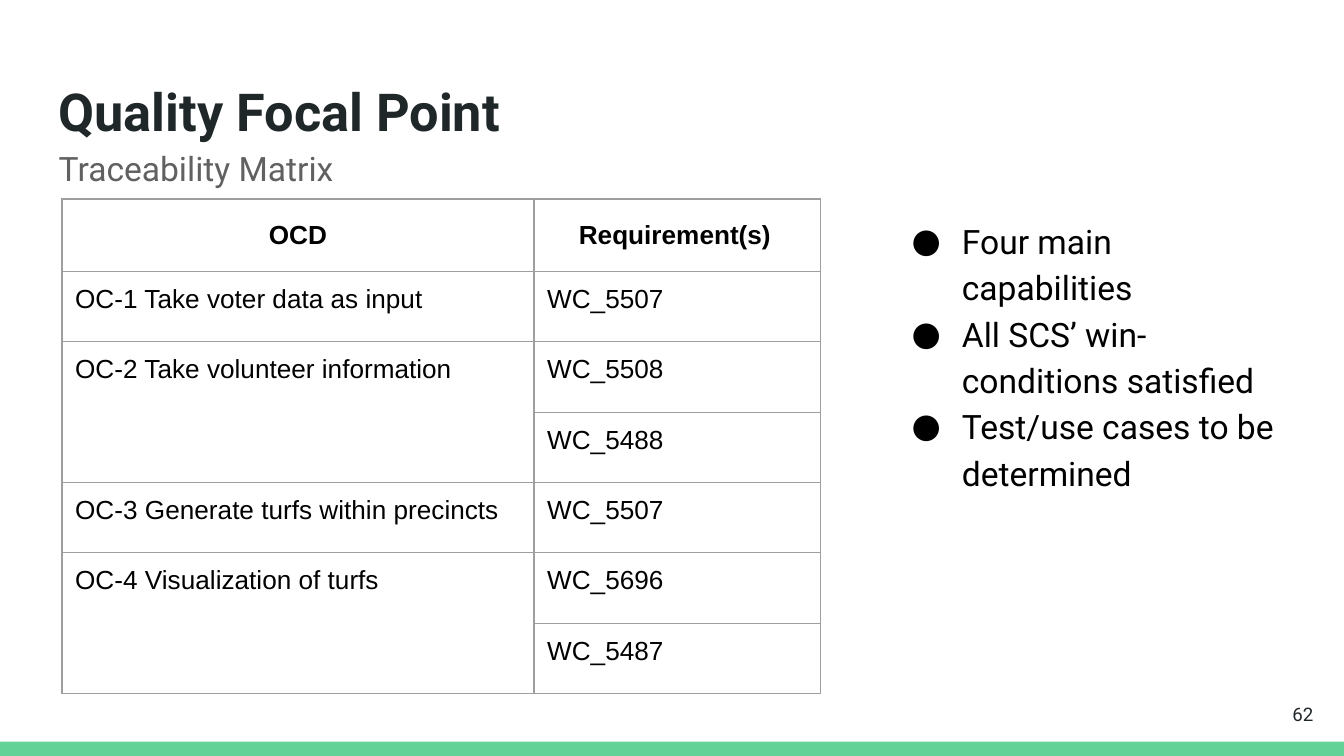
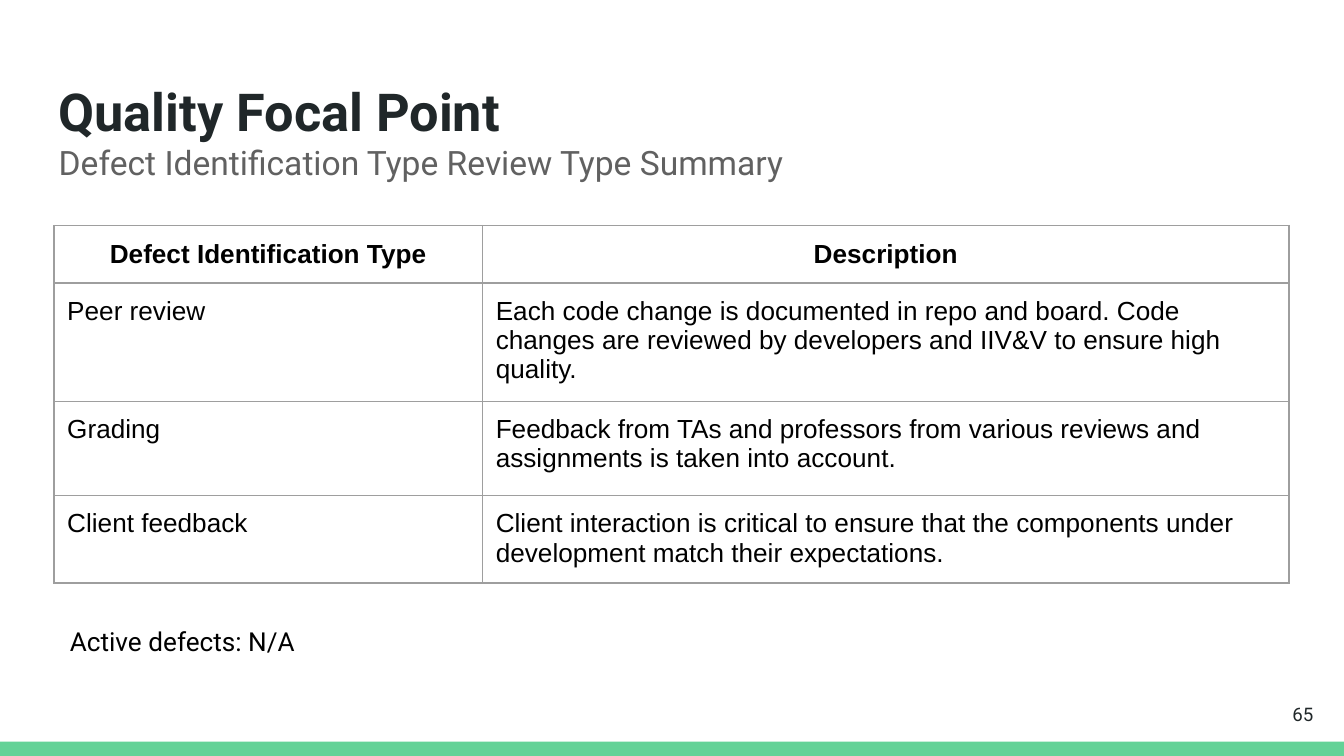
from lxml import etree
from pptx import Presentation
from pptx.dml.color import RGBColor
from pptx.enum import shapes, text
from pptx.oxml import ns
from pptx.util import Cm, Pt

GREEN = RGBColor(0x63, 0xD2, 0x97)
DARK = RGBColor(0x20, 0x27, 0x29)
GRAY = RGBColor(0x61, 0x61, 0x61)
BLACK = RGBColor(0, 0, 0)
BORDER = RGBColor(0x9E, 0x9E, 0x9E)
INSET = Cm(0.25)


def write(para, words, size=14, color=BLACK, font="Roboto", bold=False, align=text.PP_ALIGN.LEFT):
    para.alignment = align
    span = para.add_run()
    span.text = words
    span.font.size = Pt(size)
    span.font.name = font
    span.font.bold = bold
    span.font.color.rgb = color


def set_frame(frame, anchor=text.MSO_ANCHOR.TOP):
    frame.word_wrap = True
    frame.auto_size = text.MSO_AUTO_SIZE.NONE
    frame.vertical_anchor = anchor
    frame.margin_left = frame.margin_right = frame.margin_top = frame.margin_bottom = INSET
    return frame


deck = Presentation()
deck.slide_width, deck.slide_height = Cm(25.4), Cm(14.29)
layout = deck.slide_layouts[5]

contents = [
    {
        "number": "62", "subtitle": "Traceability Matrix", "title_height": 2.52,
        "left": 1.17, "top": 3.76,
        "columns": [8.92, 5.41], "heights": [1.37] + [1.33] * 6,
        "rows": [
            ("OCD", "Requirement(s)"),
            ("OC-1 Take voter data as input", "WC_5507"),
            ("OC-2 Take volunteer information", "WC_5508"),
            ("", "WC_5488"),
            ("OC-3 Generate turfs within precincts", "WC_5507"),
            ("OC-4 Visualization of turfs", "WC_5696"),
            ("", "WC_5487"),
        ],
    },
    {
        "number": "65", "subtitle": "Defect Identification Type Review Type Summary", "title_height": 2.62,
        "left": 1.02, "top": 4.26,
        "columns": [8.1, 15.24], "heights": [1.09, 2.24, 1.78, 1.65],
        "rows": [
            ("Defect Identification Type", "Description"),
            ("Peer review", "Each code change is documented in repo and board. Code changes are "
             "reviewed by developers and IIV&V to ensure high quality."),
            ("Grading", "Feedback from TAs and professors from various reviews and assignments "
             "is taken into account."),
            ("Client feedback", "Client interaction is critical to ensure that the components under "
             "development match their expectations."),
        ],
    },
]

pages, tables = [], []
for content in contents:
    page = deck.slides.add_slide(layout)
    pages.append(page)

    title = page.shapes.title
    title.left, title.top = Cm(0.86), Cm(1.24)
    title.width, title.height = Cm(23.67), Cm(content["title_height"])
    frame = set_frame(title.text_frame)
    para = frame.paragraphs[0]
    write(para, "Quality Focal Point", size=28, color=DARK, bold=True)
    if content["number"] == "62":
        para = frame.add_paragraph()
        para.line_spacing = 1.15
        para.space_after = Pt(16)
    else:
        para.add_line_break()
    write(para, content["subtitle"], size=18, color=GRAY)

    rows, columns, heights = content["rows"], content["columns"], content["heights"]
    table = page.shapes.add_table(
        len(rows), len(columns), Cm(content["left"]), Cm(content["top"]),
        Cm(sum(columns)), Cm(sum(heights))).table
    tables.append(table)
    table.first_row = table.horz_banding = False
    for column, width in zip(table.columns, columns):
        column.width = Cm(width)
    for row, height in zip(table.rows, heights):
        row.height = Cm(height)

    for row_index, row in enumerate(rows):
        header = row_index == 0
        for column_index, words in enumerate(row):
            cell = table.cell(row_index, column_index)
            cell.margin_left = cell.margin_right = cell.margin_top = cell.margin_bottom = INSET
            cell.vertical_anchor = text.MSO_ANCHOR.MIDDLE if header else text.MSO_ANCHOR.TOP
            cell.fill.background()
            para = cell.text_frame.paragraphs[0]
            if words:
                write(para, words, font="Arial", bold=header,
                      align=text.PP_ALIGN.CENTER if header else text.PP_ALIGN.LEFT)
            else:
                para.font.size = Pt(14)

            joins_below = row_index + 1 < len(rows) and not rows[row_index + 1][column_index]
            open_sides = {"lnT": not words, "lnB": joins_below}
            properties = cell._tc.get_or_add_tcPr()
            for position, side in enumerate(("lnL", "lnR", "lnT", "lnB")):
                line = etree.Element(ns.qn("a:" + side), w=str(Pt(0.75)))
                if open_sides.get(side):
                    etree.SubElement(line, ns.qn("a:noFill"))
                else:
                    fill = etree.SubElement(line, ns.qn("a:solidFill"))
                    etree.SubElement(fill, ns.qn("a:srgbClr"), val=str(BORDER))
                properties.insert(position, line)

    number = page.shapes.add_textbox(Cm(23.55), Cm(12.95), Cm(1.52), Cm(1.09))
    frame = set_frame(number.text_frame, text.MSO_ANCHOR.MIDDLE)
    write(frame.paragraphs[0], content["number"], size=10, color=DARK, align=text.PP_ALIGN.RIGHT)

matrix_page, defect_page = pages
tables[0].cell(0, 1).margin_right = Cm(0.33)

band = matrix_page.shapes.add_shape(shapes.MSO_SHAPE.RECTANGLE, 0, Cm(14.02), deck.slide_width, Cm(0.27))
band.shadow.inherit = False
band.fill.solid()
band.fill.fore_color.rgb = GREEN
band.line.fill.background()
band._element.nvSpPr.cNvPr.set("id", "50")
layout.shapes._spTree.insert(2, band._element)

notes_box = matrix_page.shapes.add_textbox(Cm(16.66), Cm(3.81), Cm(7.87), Cm(9.25))
frame = set_frame(notes_box.text_frame)
points = ["Four main capabilities", "All SCS’ win-conditions satisfied", "Test/use cases to be determined"]
for index, point in enumerate(points):
    para = frame.add_paragraph() if index else frame.paragraphs[0]
    properties = para._p.get_or_add_pPr()
    properties.set("marL", str(Cm(1.27)))
    properties.set("indent", str(Cm(-0.95)))
    color = etree.SubElement(properties, ns.qn("a:buClr"))
    etree.SubElement(color, ns.qn("a:srgbClr"), val=str(BLACK))
    etree.SubElement(properties, ns.qn("a:buFont"), typeface="Roboto")
    etree.SubElement(properties, ns.qn("a:buChar"), char="●")
    para.line_spacing = 1.15
    write(para, point, size=18)

defects_box = defect_page.shapes.add_textbox(Cm(1.07), Cm(11.58), Cm(23.29), Cm(0.86))
write(set_frame(defects_box.text_frame).paragraphs[0], "Active defects: N/A")

deck.save("out.pptx")
